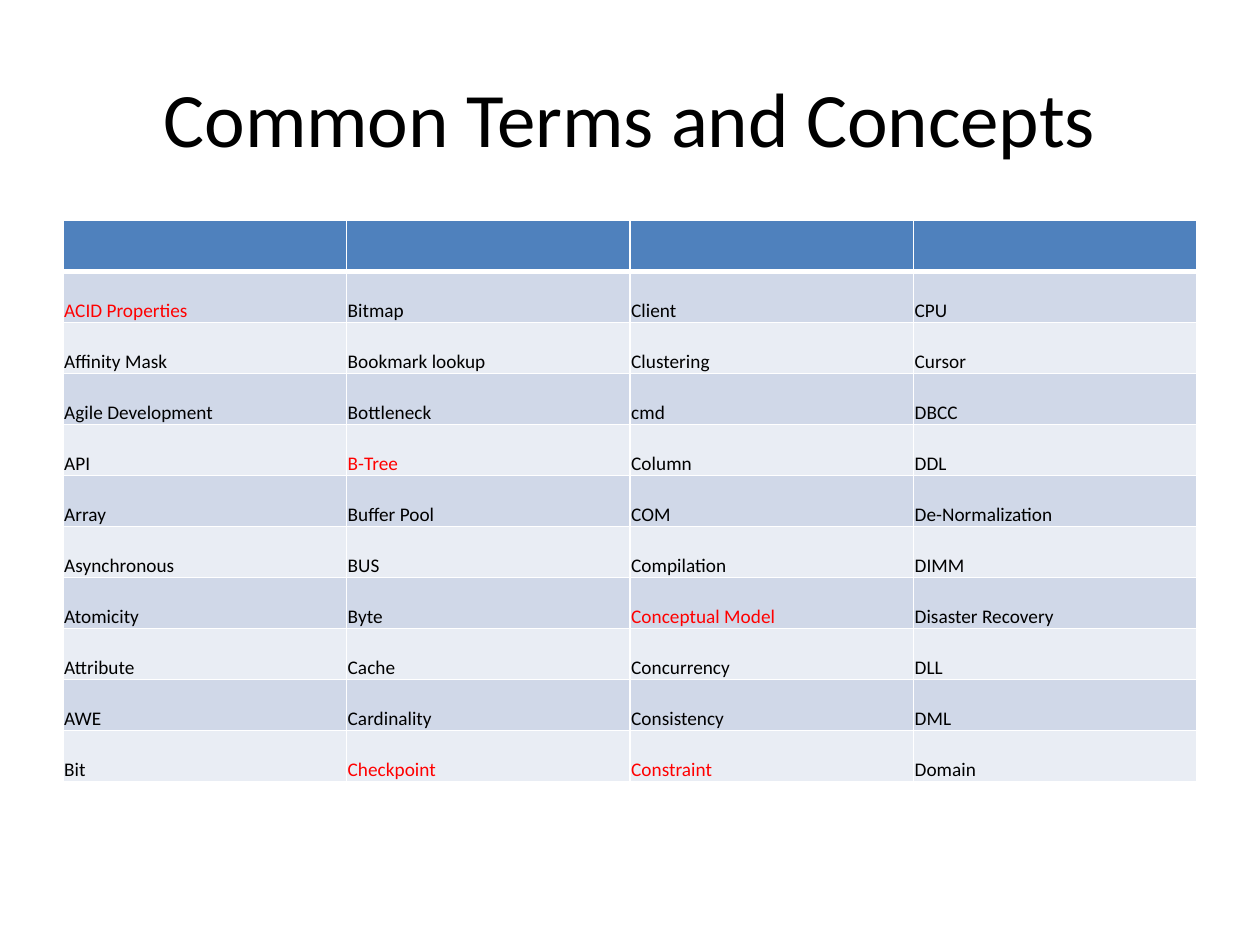
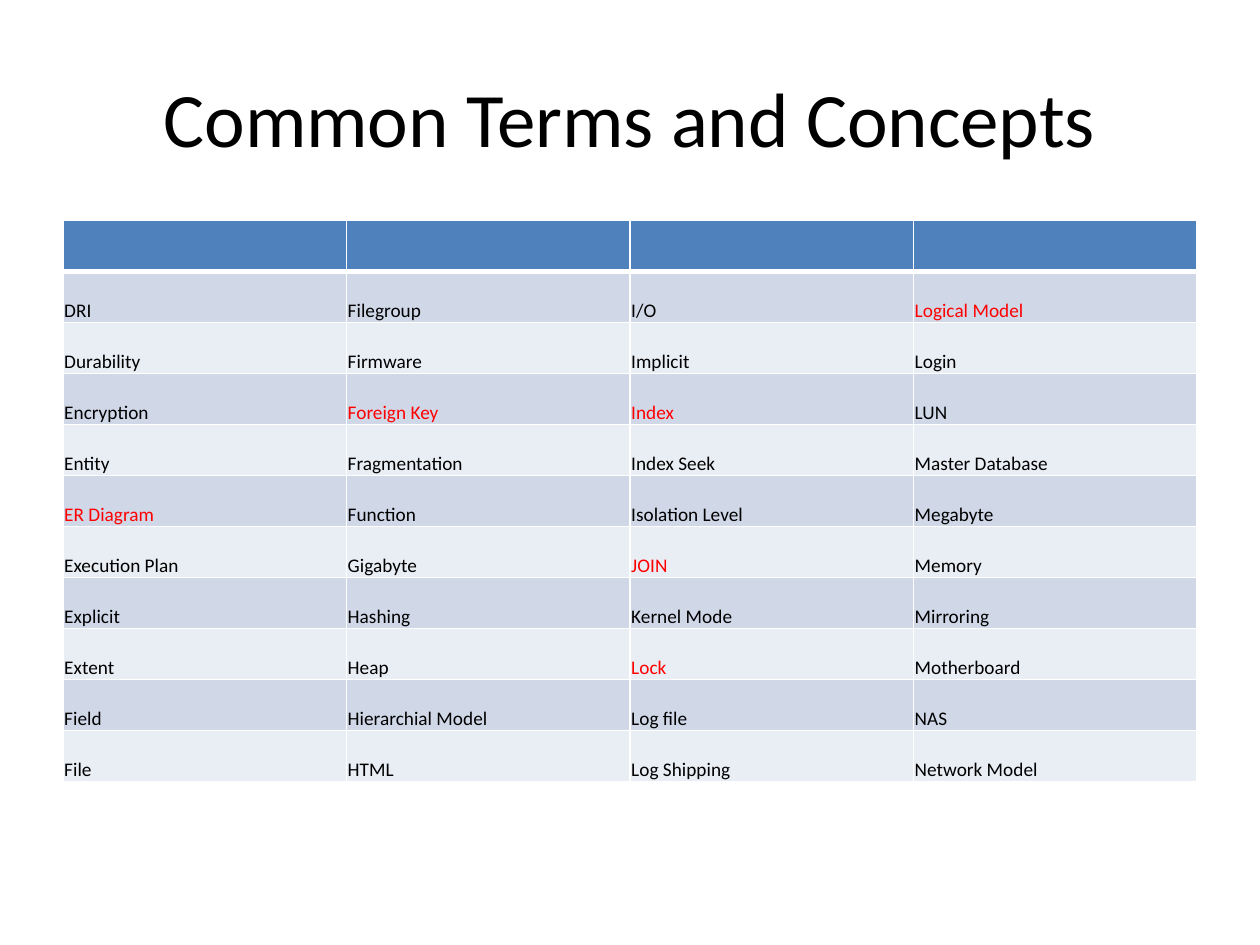
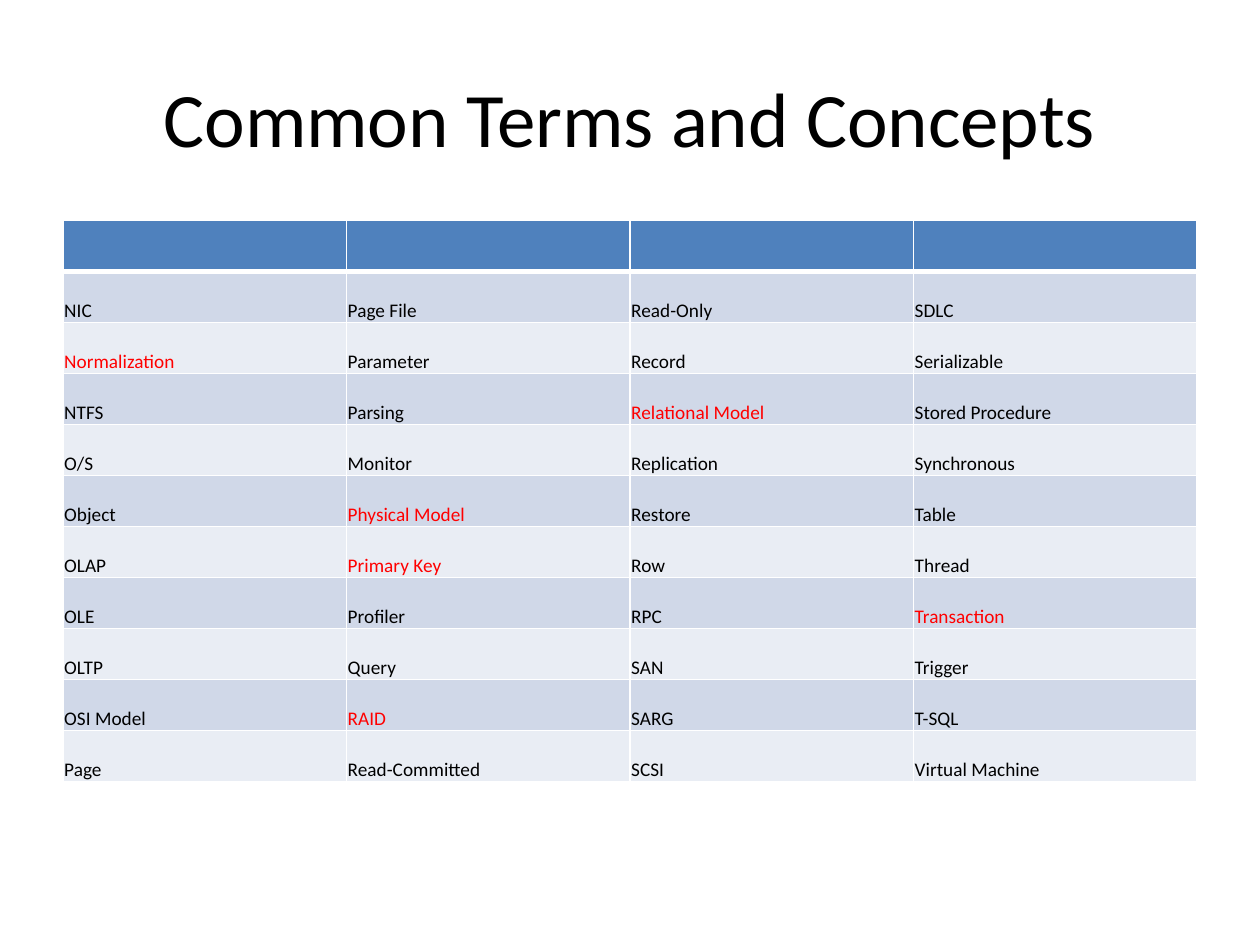
from dataclasses import dataclass

from lxml.etree import SubElement
from pptx import Presentation
from pptx.dml.color import RGBColor as Rgb
from pptx.enum.text import MSO_ANCHOR as Anchor, PP_ALIGN as Align
from pptx.oxml.ns import qn
from pptx.util import Inches, Pt


@dataclass(frozen=True)
class Theme:
    font: str = "Calibri"
    title_size: int = 44
    term_size: int = 11
    ink: str = "000000"
    key_term: str = "FF0000"
    rule: str = "FFFFFF"
    header: str = "4F81BD"
    bands: tuple = ("D0D8E8", "E9EDF4")
    thin: int = 1
    thick: int = 3


GRID_COLUMNS, GRID_ROWS = 40, 30
TITLE_AREA = (2, 1.2, 36, 5)
TABLE_LEFT, TABLE_TOP, TABLE_WIDTH, TERM_ROW = 2, 7, 36, 1.62

TERM_FORMAT = {
    "vertical_anchor": Anchor.BOTTOM,
    "margin_left": Inches(0.01),
    "margin_right": Inches(0.01),
    "margin_top": Inches(0.01),
    "margin_bottom": 0,
}

HEADING = "Common Terms and Concepts"

KEY_TERMS = {
    "ACID Properties", "B-Tree", "Checkpoint", "Conceptual Model", "Constraint",
    "ER Diagram", "Foreign Key", "Index", "JOIN", "Lock", "Logical Model",
    "Normalization", "Physical Model", "Primary Key", "RAID", "Relational Model",
    "Transaction",
}

GLOSSARY = [
    [
        ["ACID Properties", "Affinity Mask", "Agile Development", "API", "Array",
         "Asynchronous", "Atomicity", "Attribute", "AWE", "Bit"],
        ["Bitmap", "Bookmark lookup", "Bottleneck", "B-Tree", "Buffer Pool",
         "BUS", "Byte", "Cache", "Cardinality", "Checkpoint"],
        ["Client", "Clustering", "cmd", "Column", "COM",
         "Compilation", "Conceptual Model", "Concurrency", "Consistency", "Constraint"],
        ["CPU", "Cursor", "DBCC", "DDL", "De-Normalization",
         "DIMM", "Disaster Recovery", "DLL", "DML", "Domain"],
    ],
    [
        ["DRI", "Durability", "Encryption", "Entity", "ER Diagram",
         "Execution Plan", "Explicit", "Extent", "Field", "File"],
        ["Filegroup", "Firmware", "Foreign Key", "Fragmentation", "Function",
         "Gigabyte", "Hashing", "Heap", "Hierarchial Model", "HTML"],
        ["I/O", "Implicit", "Index", "Index Seek", "Isolation Level",
         "JOIN", "Kernel Mode", "Lock", "Log file", "Log Shipping"],
        ["Logical Model", "Login", "LUN", "Master Database", "Megabyte",
         "Memory", "Mirroring", "Motherboard", "NAS", "Network Model"],
    ],
    [
        ["NIC", "Normalization", "NTFS", "O/S", "Object",
         "OLAP", "OLE", "OLTP", "OSI Model", "Page"],
        ["Page File", "Parameter", "Parsing", "Monitor", "Physical Model",
         "Primary Key", "Profiler", "Query", "RAID", "Read-Committed"],
        ["Read-Only", "Record", "Relational Model", "Replication", "Restore",
         "Row", "RPC", "SAN", "SARG", "SCSI"],
        ["SDLC", "Serializable", "Stored Procedure", "Synchronous", "Table",
         "Thread", "Transaction", "Trigger", "T-SQL", "Virtual Machine"],
    ],
]


def apply_format(target, values):
    for name, value in values.items():
        setattr(target, name, value)


class Deck:
    def __init__(self, theme):
        self.theme = theme
        self.prs = Presentation()
        apply_format(self.prs, {"slide_width": Inches(10), "slide_height": Inches(7.5)})
        self.slide = None

    def place(self, left, top, width, height):
        column = self.prs.slide_width / GRID_COLUMNS
        row = self.prs.slide_height / GRID_ROWS
        return [round(n) for n in (left * column, top * row, width * column, height * row)]

    def new_slide(self):
        self.slide = self.prs.slides.add_slide(self.prs.slide_layouts[5])

    def set_text(self, frame, text, size, color, align):
        frame.text = text
        paragraph = frame.paragraphs[0]
        paragraph.alignment = align
        font = paragraph.runs[0].font
        apply_format(font, {"name": self.theme.font, "size": Pt(size)})
        font.color.rgb = Rgb.from_string(color)

    def title(self, text):
        heading = self.slide.shapes.title
        area = self.place(*TITLE_AREA)
        apply_format(heading, dict(zip(("left", "top", "width", "height"), area)))
        heading.text_frame.vertical_anchor = Anchor.MIDDLE
        self.set_text(heading.text_frame, text, self.theme.title_size, self.theme.ink, Align.CENTER)

    def paint(self, cell, fill, bottom):
        properties = cell._tc.get_or_add_tcPr()
        thin = self.theme.thin
        for side, width in (("L", thin), ("R", thin), ("T", thin), ("B", bottom)):
            border = SubElement(properties, qn(f"a:ln{side}"), w=str(Pt(width)))
            solid = SubElement(border, qn("a:solidFill"))
            SubElement(solid, qn("a:srgbClr"), val=self.theme.rule)
        cell.fill.solid()
        cell.fill.fore_color.rgb = Rgb.from_string(fill)

    def term(self, cell, text):
        color = self.theme.key_term if text in KEY_TERMS else self.theme.ink
        apply_format(cell, TERM_FORMAT)
        self.set_text(cell.text_frame, text, self.theme.term_size, color, Align.LEFT)

    def term_table(self, term_columns):
        row_count = len(term_columns[0]) + 1
        area = self.place(TABLE_LEFT, TABLE_TOP, TABLE_WIDTH, TERM_ROW * row_count)
        table = self.slide.shapes.add_table(row_count, len(term_columns), *area).table
        for column, terms in enumerate(term_columns):
            self.paint(table.cell(0, column), self.theme.header, self.theme.thick)
            for row, text in enumerate(terms, 1):
                cell = table.cell(row, column)
                self.paint(cell, self.theme.bands[(row - 1) % 2], self.theme.thin)
                self.term(cell, text)


def main():
    deck = Deck(Theme())
    for term_columns in GLOSSARY:
        deck.new_slide()
        deck.title(HEADING)
        deck.term_table(term_columns)
    deck.prs.save("out.pptx")


if __name__ == "__main__":
    main()
